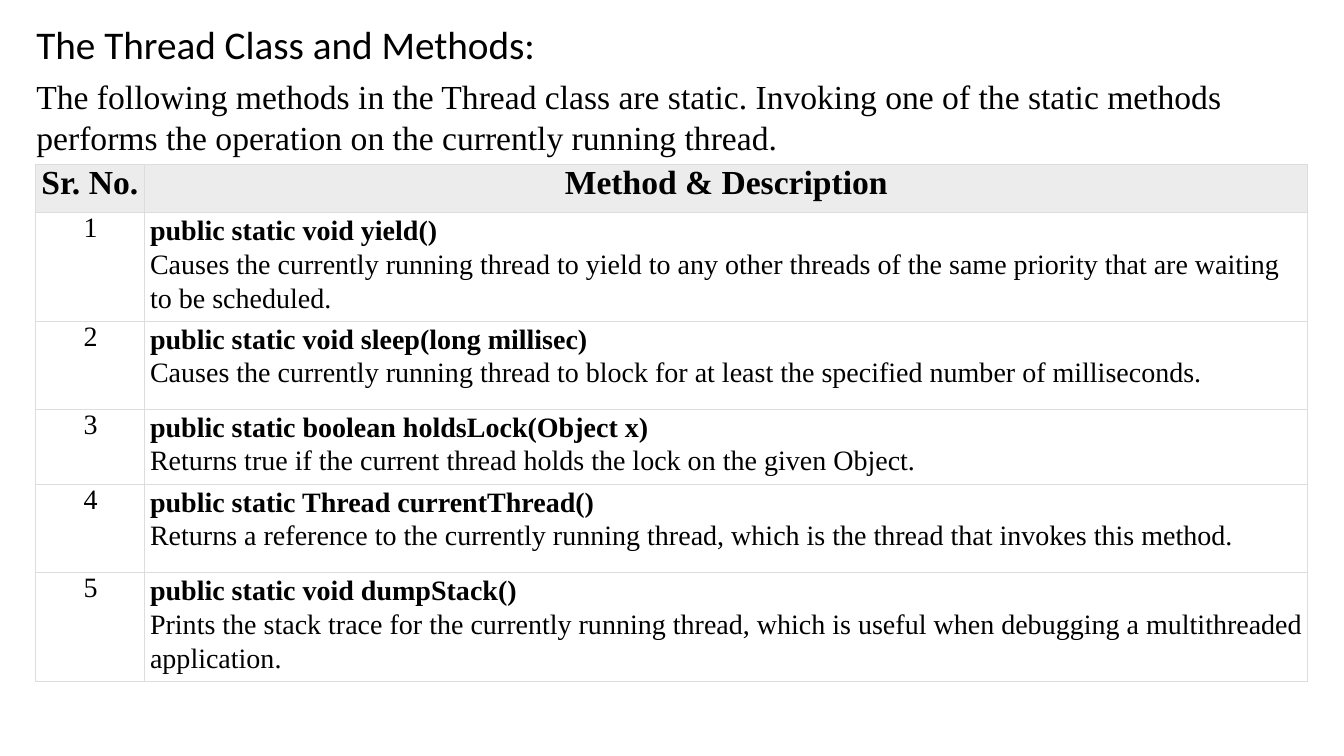
from lxml import etree
from pptx import Presentation
from pptx.dml.color import RGBColor
from pptx.enum.text import MSO_ANCHOR, PP_ALIGN
from pptx.oxml.ns import qn
from pptx.util import Pt

LEFT = PP_ALIGN.LEFT
CENTER = PP_ALIGN.CENTER
TOP = MSO_ANCHOR.TOP
MIDDLE = MSO_ANCHOR.MIDDLE

HEADERS = ("Sr. No.", "Method & Description")
METHODS = [
    ("public static void yield()",
     "Causes the currently running thread to yield to any other threads of the same "
     "priority that are waiting to be scheduled.", 78, 24.2),
    ("public static void sleep(long millisec)",
     "Causes the currently running thread to block for at least the specified number "
     "of milliseconds.", 62.8, 23.6),
    ("public static boolean holdsLock(Object x)",
     "Returns true if the current thread holds the lock on the given Object.", 53.8, 23.8),
    ("public static Thread currentThread()",
     "Returns a reference to the currently running thread, which is the thread that "
     "invokes this method.", 62.8, 23.6),
    ("public static void dumpStack()",
     "Prints the stack trace for the currently running thread, which is useful when "
     "debugging a multithreaded application.", 78, 24.3),
]


def color(value):
    return RGBColor.from_string(value)


class SlideBuilder:
    """Holds the style and the current slide, and adds its elements."""

    text_color = "000000"
    header_fill = "ECECEC"
    border_color = "DDDDDD"
    serif = "Times New Roman"

    def __init__(self, presentation):
        self.slide = presentation.slides.add_slide(presentation.slide_layouts[6])

    def paragraph(self, paragraph, text, size, font=None, bold=False, **formats):
        for name, value in formats.items():
            setattr(paragraph, name, value)
        run = paragraph.add_run()
        run.text = text
        values = {"name": font or self.serif, "size": Pt(size), "bold": bold}
        for name, value in values.items():
            setattr(run.font, name, value)
        run.font.color.rgb = color(self.text_color)

    def text(self, box, text, size, font, anchor=TOP):
        shape = self.slide.shapes.add_textbox(*map(Pt, box))
        frame = shape.text_frame
        values = {"word_wrap": True, "vertical_anchor": anchor, "margin_left": Pt(1),
                  "margin_right": 0, "margin_top": Pt(1), "margin_bottom": 0}
        for name, value in values.items():
            setattr(frame, name, value)
        self.paragraph(frame.paragraphs[0], text, size, font, space_before=Pt(1))

    def table(self, left, top, widths, heights):
        shape = self.slide.shapes.add_table(
            len(heights), len(widths), Pt(left), Pt(top), Pt(sum(widths)), Pt(sum(heights)))
        table = shape.table
        table.first_row = table.horz_banding = False
        for column, width in zip(table.columns, widths):
            column.width = Pt(width)
        for row, height in zip(table.rows, heights):
            row.height = Pt(height)
        return table

    def cell(self, cell, lines, fill=None, left=0, top=0):
        values = {"margin_left": Pt(left), "margin_right": 0, "margin_top": Pt(top),
                  "margin_bottom": 0, "vertical_anchor": TOP}
        for name, value in values.items():
            setattr(cell, name, value)
        if fill:
            cell.fill.solid()
            cell.fill.fore_color.rgb = color(fill)
        else:
            cell.fill.background()
        self.borders(cell)
        frame = cell.text_frame
        for index, line in enumerate(lines):
            paragraph = frame.add_paragraph() if index else frame.paragraphs[0]
            self.paragraph(paragraph, **line)

    def borders(self, cell):
        properties = cell._tc.get_or_add_tcPr()
        for index, side in enumerate(("lnL", "lnR", "lnT", "lnB")):
            line = etree.Element(qn("a:" + side), w=str(Pt(0.75)))
            fill = etree.SubElement(line, qn("a:solidFill"))
            etree.SubElement(fill, qn("a:srgbClr"), val=self.border_color)
            properties.insert(index, line)


def main():
    presentation = Presentation()
    presentation.slide_width = Pt(960)
    presentation.slide_height = Pt(540)
    builder = SlideBuilder(presentation)

    builder.text((25, 12.5, 388, 36), "The Thread Class and Methods:", 28, "Calibri", MIDDLE)
    builder.text((25, 53.5, 849, 60),
                 "The following methods in the Thread class are static. Invoking one of the "
                 "static methods performs the operation on the currently running thread.",
                 24, builder.serif)

    heights = [34.4] + [height for _, _, height, _ in METHODS]
    table = builder.table(25, 117.3, (78.4, 830.8), heights)
    for column, header in enumerate(HEADERS):
        line = {"text": header, "size": 24, "bold": True, "alignment": CENTER}
        builder.cell(table.cell(0, column), [line], builder.header_fill)
    for row, (signature, description, _, spacing) in enumerate(METHODS, 1):
        number = {"text": str(row), "size": 20, "alignment": CENTER}
        builder.cell(table.cell(row, 0), [number], left=1)
        lines = [
            {"text": signature, "size": 20, "bold": True, "alignment": LEFT,
             "line_spacing": Pt(23.8), "space_before": Pt(0.8)},
            {"text": description, "size": 20, "alignment": LEFT,
             "line_spacing": Pt(spacing)},
        ]
        builder.cell(table.cell(row, 1), lines, left=3.8, top=0.6)

    presentation.save("out.pptx")


if __name__ == "__main__":
    main()
